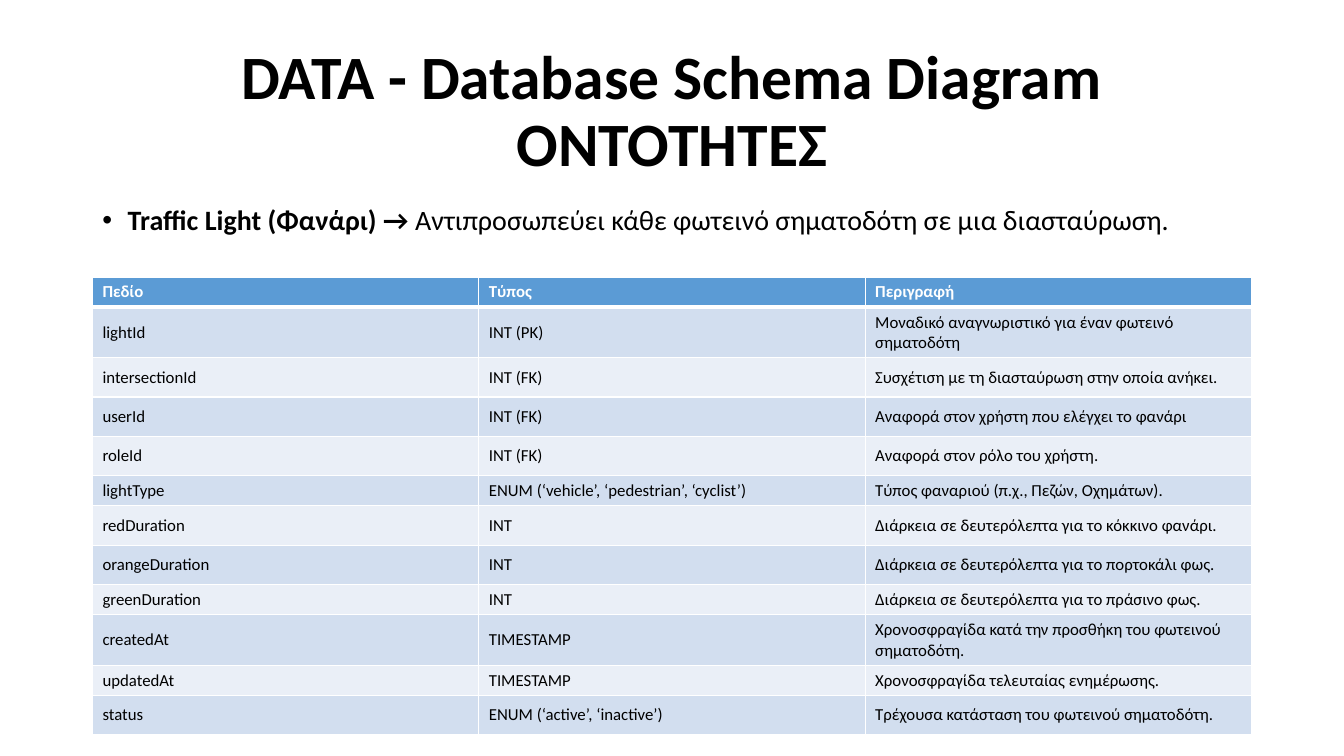
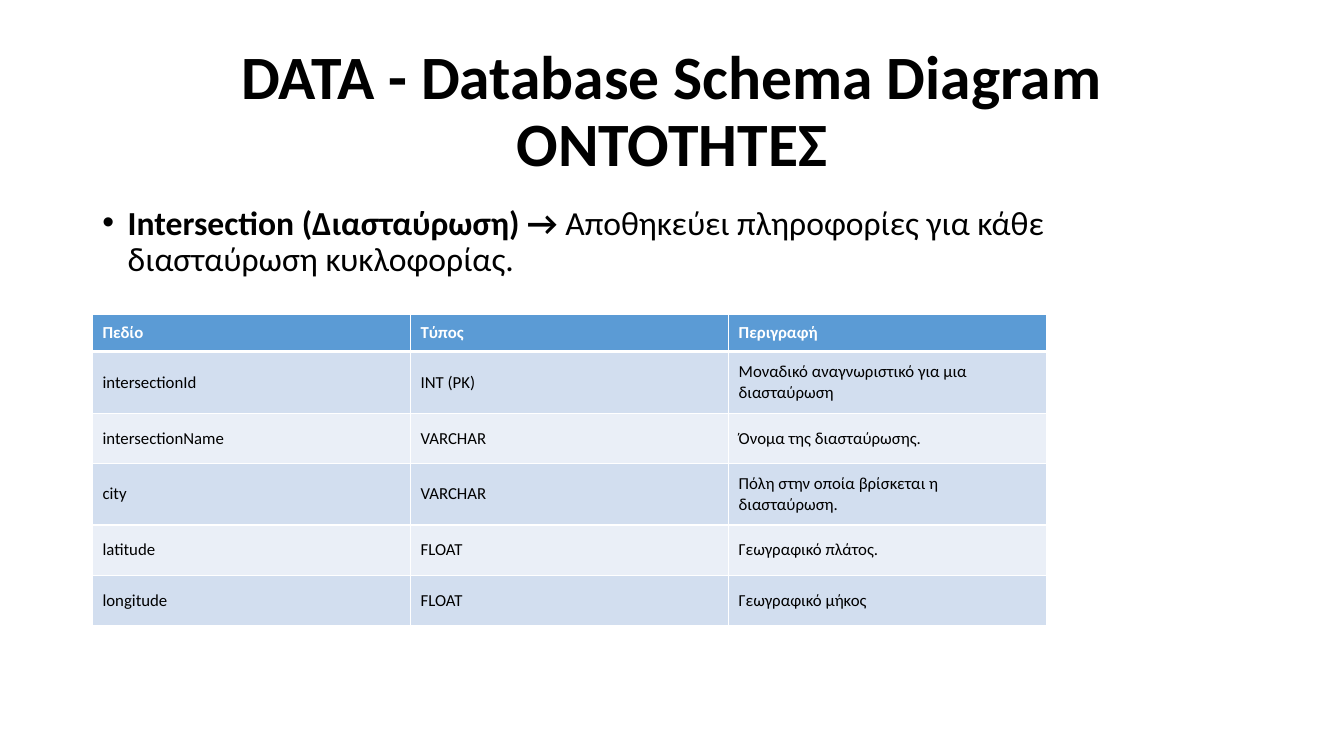
from lxml import etree
from pptx import Presentation
from pptx import util as u
from pptx.dml.color import RGBColor
from pptx.enum import text as t
from pptx.oxml import ns

HEADING = ("DATA - Database Schema Diagram", "ΟΝΤΟΤΗΤΕΣ")
COLUMNS = ("Πεδίο", "Τύπος", "Περιγραφή")
ENTITIES = [
    {
        "name": "Traffic Light (Φανάρι) → ",
        "meaning": "Αντιπροσωπεύει κάθε φωτεινό σηματοδότη σε μια διασταύρωση.",
        "size": 20,
        "top": 6.98,
        "width": 29.21,
        "heights": (0.64, 0.99, 0.99, 0.99, 0.99, 0.58, 0.99, 0.99, 0.58, 0.99, 0.58, 0.99),
        "fields": [
            ("lightId", "INT (PK)", "Μοναδικό αναγνωριστικό για έναν φωτεινό σηματοδότη"),
            ("intersectionId", "INT (FK)", "Συσχέτιση με τη διασταύρωση στην οποία ανήκει."),
            ("userId", "INT (FK)", "Αναφορά στον χρήστη που ελέγχει το φανάρι"),
            ("roleId", "INT (FK)", "Αναφορά στον ρόλο του χρήστη."),
            ("lightType", "ENUM (‘vehicle’, ‘pedestrian’, ‘cyclist’)", "Τύπος φαναριού (π.χ., Πεζών, Οχημάτων)."),
            ("redDuration", "INT", "Διάρκεια σε δευτερόλεπτα για το κόκκινο φανάρι."),
            ("orangeDuration", "INT", "Διάρκεια σε δευτερόλεπτα για το πορτοκάλι φως."),
            ("greenDuration", "INT", "Διάρκεια σε δευτερόλεπτα για το πράσινο φως."),
            ("createdAt", "TIMESTAMP", "Χρονοσφραγίδα κατά την προσθήκη του φωτεινού σηματοδότη."),
            ("updatedAt", "TIMESTAMP", "Χρονοσφραγίδα τελευταίας ενημέρωσης."),
            ("status", "ENUM (‘active’, ‘inactive’)", "Τρέχουσα κατάσταση του φωτεινού σηματοδότη."),
        ],
    },
    {
        "name": "Intersection (Διασταύρωση) → ",
        "meaning": "Αποθηκεύει πληροφορίες για κάθε διασταύρωση κυκλοφορίας.",
        "size": 24,
        "top": 7.93,
        "width": 24.05,
        "heights": (0.93, 1.55, 1.27, 1.55, 1.27, 1.27),
        "fields": [
            ("intersectionId", "INT (PK)", "Μοναδικό αναγνωριστικό για μια διασταύρωση"),
            ("intersectionName", "VARCHAR", "Όνομα της διασταύρωσης."),
            ("city", "VARCHAR", "Πόλη στην οποία βρίσκεται η διασταύρωση."),
            ("latitude", "FLOAT", "Γεωγραφικό πλάτος."),
            ("longitude", "FLOAT", "Γεωγραφικό μήκος"),
        ],
    },
]

BLACK = RGBColor(0x00, 0x00, 0x00)
WHITE = RGBColor(0xFF, 0xFF, 0xFF)
HEADER_BLUE = RGBColor(0x5B, 0x9B, 0xD5)
BANDS = (RGBColor(0xD2, 0xDE, 0xEF), RGBColor(0xEA, 0xEF, 0xF7))
FONT = "Calibri"
LEFT = u.Cm(2.33)
WIDTH = u.Cm(29.21)
THIN, THICK = u.Pt(1), u.Pt(3)


def write(paragraph, content, size=12, color=BLACK, bold=False):
    run = paragraph.add_run()
    run.text = content
    run.font.name = FONT
    run.font.size = u.Pt(size)
    run.font.bold = bold
    run.font.color.rgb = color


def add_bullet(paragraph, indent):
    properties = paragraph._p.get_or_add_pPr()
    properties.set("marL", str(indent))
    properties.set("indent", str(-indent))
    etree.SubElement(properties, ns.qn("a:buFont")).set("typeface", "Arial")
    etree.SubElement(properties, ns.qn("a:buChar")).set("char", "•")


def add_borders(cell, top, bottom):
    properties = cell._tc.get_or_add_tcPr()
    for side, width in (("L", THIN), ("R", THIN), ("T", top), ("B", bottom)):
        line = etree.SubElement(properties, ns.qn(f"a:ln{side}"), w=str(width))
        fill = etree.SubElement(line, ns.qn("a:solidFill"))
        etree.SubElement(fill, ns.qn("a:srgbClr")).set("val", str(WHITE))


def add_heading(slide):
    title = slide.shapes.title
    title.left, title.top, title.width, title.height = LEFT, u.Cm(1.01), WIDTH, u.Cm(3.68)
    frame = title.text_frame
    frame.auto_size = t.MSO_AUTO_SIZE.NONE
    frame.vertical_anchor = t.MSO_ANCHOR.MIDDLE
    paragraph = frame.paragraphs[0]
    paragraph.alignment = t.PP_ALIGN.CENTER
    paragraph.line_spacing = 0.9
    first, second = HEADING
    write(paragraph, first, size=44, bold=True)
    paragraph.add_line_break()
    write(paragraph, second, size=44, bold=True)


def add_definition(slide, entity):
    frame = slide.shapes.add_textbox(LEFT, u.Cm(5.07), WIDTH, u.Cm(12.09)).text_frame
    frame.word_wrap = True
    paragraph = frame.paragraphs[0]
    add_bullet(paragraph, u.Cm(0.64))
    paragraph.line_spacing = 0.9
    write(paragraph, entity["name"], size=entity["size"], bold=True)
    write(paragraph, entity["meaning"], size=entity["size"])


def add_fields(slide, entity):
    rows = [COLUMNS] + entity["fields"]
    heights = [u.Cm(height) for height in entity["heights"]]
    width = u.Cm(entity["width"])
    table = slide.shapes.add_table(
        len(rows), len(COLUMNS), LEFT, u.Cm(entity["top"]), width, sum(heights)
    ).table
    for column in table.columns:
        column.width = width // len(COLUMNS)
    for r, (row, height) in enumerate(zip(rows, heights)):
        header = r == 0
        table.rows[r].height = height
        for c, content in enumerate(row):
            cell = table.cell(r, c)
            add_borders(cell, THICK if r == 1 else THIN, THICK if header else THIN)
            cell.fill.solid()
            cell.fill.fore_color.rgb = HEADER_BLUE if header else BANDS[(r - 1) % 2]
            cell.vertical_anchor = t.MSO_ANCHOR.MIDDLE
            write(cell.text_frame.paragraphs[0], content,
                  color=WHITE if header else BLACK, bold=header)


def main():
    deck = Presentation()
    deck.slide_width, deck.slide_height = u.Cm(33.87), u.Cm(19.05)
    title_only = deck.slide_layouts[5]
    for entity in ENTITIES:
        slide = deck.slides.add_slide(title_only)
        add_heading(slide)
        add_definition(slide, entity)
        add_fields(slide, entity)
    deck.save("out.pptx")


if __name__ == "__main__":
    main()
